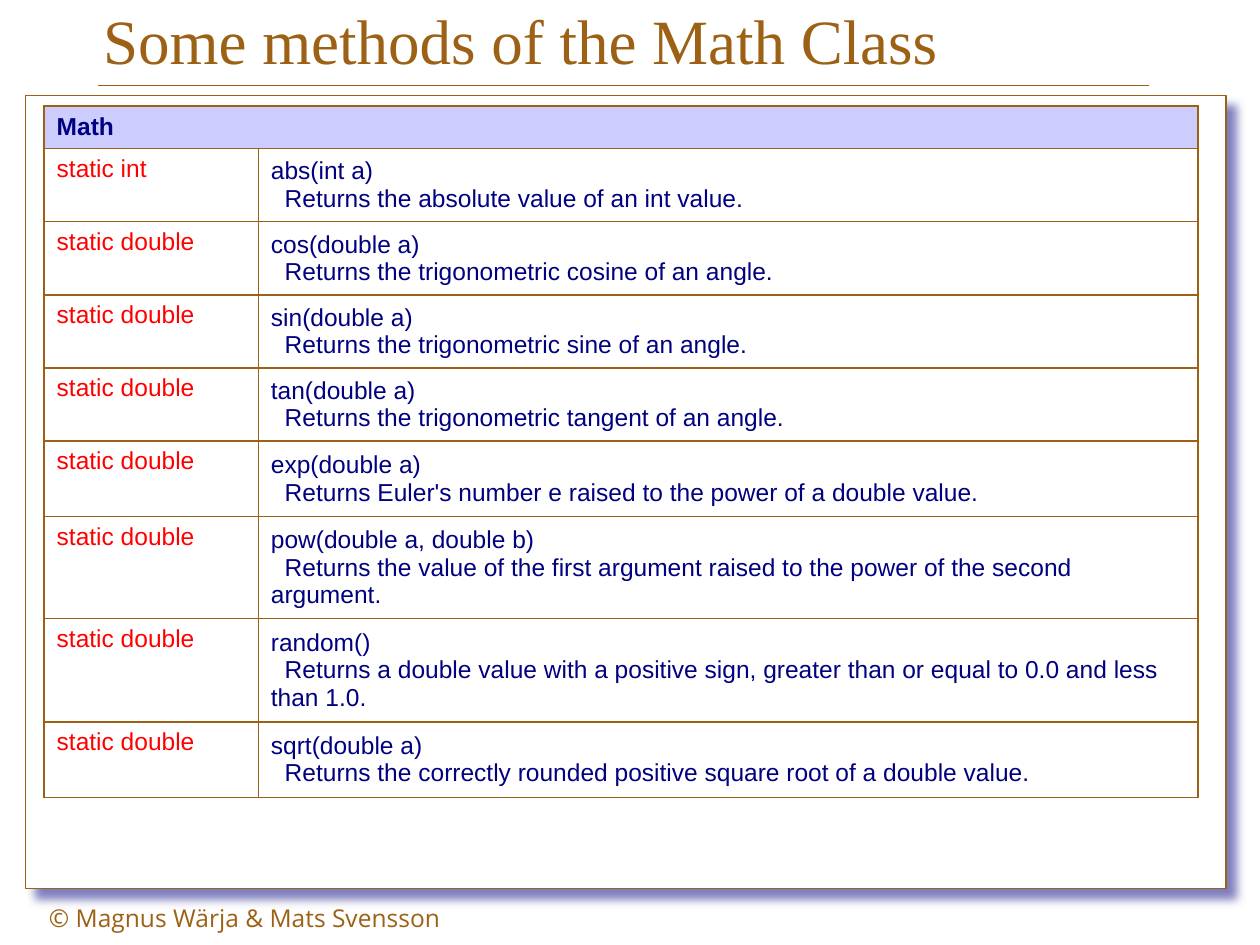
from dataclasses import dataclass

import lxml.etree
import pptx
import pptx.dml.color
import pptx.enum.shapes
import pptx.enum.text
import pptx.oxml.ns
import pptx.util

Inches = pptx.util.Inches
Pt = pptx.util.Pt
Anchor = pptx.enum.text.MSO_ANCHOR
qn = pptx.oxml.ns.qn


@dataclass(frozen=True)
class Theme:
    brown: str = "9C6114"
    navy: str = "000080"
    red: str = "FF0000"
    lavender: str = "CCCCFF"
    white: str = "FFFFFF"
    title_font: str = "Times New Roman"
    table_font: str = "Arial"
    footer_font: str = "Open Sans"
    title_size: int = 36
    body_size: int = 14
    rule_width: float = 0.75
    border_width: float = 1


@dataclass(frozen=True)
class Method:
    returns: str
    signature: str
    description: str
    height: float = 0.58


THEME = Theme()
HEADER_HEIGHT = 0.34
COLUMN_WIDTHS = (1.7, 7.46)
DESCRIPTION_INDENT = 0.11
METHODS = (
    Method("static int", "abs(int a)", "Returns the absolute value of an int value."),
    Method("static double", "cos(double a)", "Returns the trigonometric cosine of an angle."),
    Method("static double", "sin(double a)", "Returns the trigonometric sine of an angle."),
    Method("static double", "tan(double a)", "Returns the trigonometric tangent of an angle."),
    Method("static double", "exp(double a)",
           "Returns Euler's number e raised to the power of a double value.", 0.6),
    Method("static double", "pow(double a, double b)",
           "Returns the value of the first argument raised to the power of the second argument.",
           0.81),
    Method("static double", "random()",
           "Returns a double value with a positive sign, greater than or equal to 0.0 "
           "and less than 1.0.", 0.82),
    Method("static double", "sqrt(double a)",
           "Returns the correctly rounded positive square root of a double value.", 0.6),
)


def rgb(color: str) -> pptx.dml.color.RGBColor:
    return pptx.dml.color.RGBColor.from_string(color)


def write(frame, lines: tuple[str, ...], font: str, size: int, color: str,
          bold: bool = False) -> None:
    frame.text = "\n".join(lines)
    frame.word_wrap = True
    for paragraph in frame.paragraphs:
        paragraph.font.name = font
        paragraph.font.size = Pt(size)
        paragraph.font.bold = bold
        paragraph.font.color.rgb = rgb(color)


def add_text(slide, box: tuple[float, ...], text: str, font: str, size: int,
             anchor: Anchor) -> None:
    frame = slide.shapes.add_textbox(*map(Inches, box)).text_frame
    write(frame, (text,), font, size, THEME.brown)
    frame.vertical_anchor = anchor


def add_title_rule(slide) -> None:
    rule = slide.shapes.add_connector(
        pptx.enum.shapes.MSO_CONNECTOR.STRAIGHT,
        Inches(0.78), Inches(0.68), Inches(9.12), Inches(0.68))
    rule.line.color.rgb = rgb(THEME.brown)
    rule.line.width = Pt(THEME.rule_width)
    lxml.etree.SubElement(rule._element.spPr, qn("a:effectLst"))


def add_panel(slide) -> None:
    panel = slide.shapes.add_shape(
        pptx.enum.shapes.MSO_SHAPE.RECTANGLE,
        Inches(0.2), Inches(0.76), Inches(9.53), Inches(6.29))
    panel.fill.solid()
    panel.fill.fore_color.rgb = rgb(THEME.white)
    panel.line.color.rgb = rgb(THEME.brown)
    panel.line.width = Pt(THEME.rule_width)
    # Soft navy shadow, down and to the right
    panel.shadow.inherit = False
    effects = panel._element.spPr.find(qn("a:effectLst"))
    shadow = lxml.etree.SubElement(
        effects, qn("a:outerShdw"), blurRad=str(Pt(5)), dist=str(Pt(8.5)),
        dir=str(45 * 60000), algn="tl", rotWithShape="0")
    color = lxml.etree.SubElement(shadow, qn("a:srgbClr"), val=THEME.navy)
    lxml.etree.SubElement(color, qn("a:alpha"), val="50000")


def style_cell(cell, fill: str, anchor: Anchor) -> None:
    properties = cell._tc.get_or_add_tcPr()
    for side in ("lnL", "lnR", "lnT", "lnB"):
        border = lxml.etree.SubElement(
            properties, qn(f"a:{side}"), w=str(Pt(THEME.border_width)))
        solid = lxml.etree.SubElement(border, qn("a:solidFill"))
        lxml.etree.SubElement(solid, qn("a:srgbClr"), val=THEME.brown)
    cell.fill.solid()
    cell.fill.fore_color.rgb = rgb(fill)
    cell.vertical_anchor = anchor


def add_method_table(slide, methods: tuple[Method, ...]) -> None:
    heights = (HEADER_HEIGHT, *(method.height for method in methods))
    table = slide.shapes.add_table(
        len(heights), len(COLUMN_WIDTHS), Inches(0.35), Inches(0.84),
        Inches(sum(COLUMN_WIDTHS)), Inches(sum(heights))).table
    for column, width in zip(table.columns, COLUMN_WIDTHS):
        column.width = Inches(width)
    for row, height in zip(table.rows, heights):
        row.height = Inches(height)

    # Class name across both columns
    header = table.cell(0, 0)
    header.merge(table.cell(0, 1))
    for cell in table.rows[0].cells:
        style_cell(cell, THEME.lavender, Anchor.MIDDLE)
    write(header.text_frame, ("Math",), THEME.table_font, THEME.body_size,
          THEME.navy, bold=True)

    # One row per method
    for row, method in enumerate(methods, start=1):
        returns, details = table.cell(row, 0), table.cell(row, 1)
        style_cell(returns, THEME.white, Anchor.TOP)
        write(returns.text_frame, (method.returns,), THEME.table_font,
              THEME.body_size, THEME.red)
        style_cell(details, THEME.white, Anchor.MIDDLE)
        write(details.text_frame, (method.signature, method.description),
              THEME.table_font, THEME.body_size, THEME.navy)
        description = details.text_frame.paragraphs[1]
        description._p.get_or_add_pPr().set("indent", str(Inches(DESCRIPTION_INDENT)))


def main() -> None:
    deck = pptx.Presentation()
    deck.slide_width, deck.slide_height = Inches(10), Inches(7.5)
    slide = deck.slides.add_slide(deck.slide_layouts[6])

    # Frame and footer
    add_title_rule(slide)
    add_panel(slide)
    add_text(slide, (0.29, 7.12, 3.54, 0.34), "© Magnus Wärja & Mats Svensson",
             THEME.footer_font, THEME.body_size, Anchor.TOP)

    # Title and content
    add_text(slide, (0.72, -0.03, 8.45, 0.69), "Some methods of the Math Class",
             THEME.title_font, THEME.title_size, Anchor.BOTTOM)
    add_method_table(slide, METHODS)
    deck.save("out.pptx")


if __name__ == "__main__":
    main()
